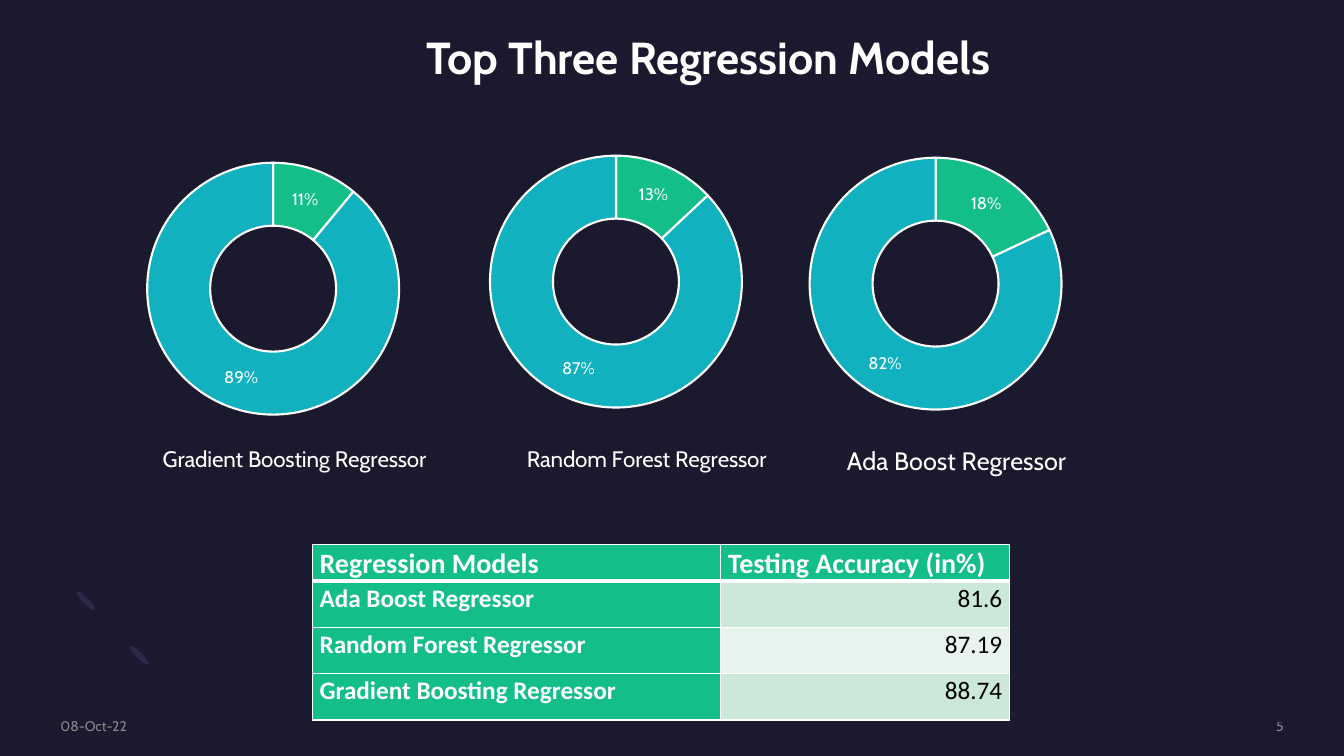
from lxml import etree
from pptx import Presentation
from pptx.chart.data import CategoryChartData
from pptx.dml.color import RGBColor
from pptx.enum.chart import XL_CHART_TYPE
from pptx.enum.shapes import MSO_SHAPE
from pptx.enum.text import MSO_ANCHOR, PP_ALIGN
from pptx.oxml import parse_xml
from pptx.oxml.ns import nsdecls, qn
from pptx.util import Pt

DOUGHNUT = XL_CHART_TYPE.DOUGHNUT
ELLIPSE = MSO_SHAPE.OVAL
LEFT, CENTER, RIGHT = PP_ALIGN.LEFT, PP_ALIGN.CENTER, PP_ALIGN.RIGHT
TOP, MIDDLE = MSO_ANCHOR.TOP, MSO_ANCHOR.MIDDLE

PX = 9144
NAVY, WHITE, BLACK, GREY = "1B192E", "FFFFFF", "000000", "A6A6A6"
GREEN, TEAL, INDIGO, VIOLET = "13BE89", "12B1BF", "2C284A", "7771B2"
BANDS = ["CCE8DA", "E7F4ED"]
BODY, TABLE = "Cabin", "Calibri"

CHARTS = [
    ("Gradient Boosting Regressor", [11, 89], (36, 147, 528, 353), 16, (0.23, 0.82)),
    ("Random Forest Regressor", [13, 87], (376, 140, 528, 353), 16, (0.27, 0.84)),
    ("Ada Boost Regressor", [18, 82], (693, 142, 528, 353), 18, (0.27, 0.83)),
]
ROWS = [
    ("Regression Models", "Testing Accuracy (in%)"),
    ("Ada Boost Regressor", "81.6"),
    ("Random Forest Regressor", "87.19"),
    ("Gradient Boosting Regressor", "88.74"),
]


def px(*lengths):
    """Turn px lengths into EMU."""
    return [n * PX for n in lengths]


def paint(fill, color, alpha=100):
    """Give a fill a solid hex colour, with alpha in percent."""
    fill.solid()
    fill.fore_color.rgb = RGBColor.from_string(color)
    if alpha < 100:
        clr = fill._xPr.find(qn("a:solidFill"))[0]
        etree.SubElement(clr, qn("a:alpha")).set("val", str(alpha * 1000))


def style_font(font, name, size, color, bold=False, alpha=100):
    """Set name, size, colour and weight of a font."""
    font.name, font.size, font.bold = name, Pt(size), bold
    paint(font.fill, color, alpha)


def write(tf, text, name, size, color, align=LEFT, bold=False, alpha=100):
    """Put one styled paragraph in a text frame and return it."""
    tf.text = text
    p = tf.paragraphs[0]
    p.alignment = align
    style_font(p.runs[0].font, name, size, color, bold, alpha)
    return p


def add_title(s, box, text):
    """Place and format the slide title."""
    sp = s.shapes.title
    sp.left, sp.top, sp.width, sp.height = px(*box)
    sp.text_frame.word_wrap = True
    sp.text_frame.vertical_anchor = TOP
    write(sp.text_frame, text, BODY, 32, WHITE, CENTER, True)


def curve(p0, p1, p2, p3, steps=12):
    """Return whole-px points along a cubic curve, after its start."""
    points = []
    for i in range(1, steps + 1):
        t = i / steps
        u = 1 - t
        points.append(tuple(
            round(u**3 * a + 3 * u * u * t * b + 3 * u * t * t * c + t**3 * d)
            for a, b, c, d in zip(p0, p1, p2, p3)))
    return points


def add_ornament(s, box):
    """Draw the faint crescent and its two slanted ellipses."""
    x, y, w, h = box
    start = (20, 77)
    outline = curve(start, (0, 57), (2, 23), (25, 0)) + [(43, 18)]
    outline += curve((43, 18), (31, 29), (30, 47), (40, 56))
    outline += curve((40, 56), (50, 66), (67, 65), (79, 54)) + [(96, 72)]
    outline += curve((96, 72), (74, 94), (39, 97), start)
    fb = s.shapes.build_freeform(x + start[0], y + start[1], scale=PX)
    fb.add_line_segments([(x + a, y + b) for a, b in outline], close=True)
    crescent = fb.convert_to_shape()
    paint(crescent.fill, VIOLET, 2)
    parts = [crescent]
    for dx, dy in ((26, 1), (79, 55)):
        sp = s.shapes.add_shape(ELLIPSE, *px(x + dx, y + dy, 6, 26))
        sp.rotation = 135
        paint(sp.fill, INDIGO)
        parts.append(sp)
    for sp in parts:
        sp.line.fill.background()
        sp.shadow.inherit = False


def set_layout(parent, index, target="", **places):
    """Give a chart part a manual layout in fractions of the chart."""
    for old in parent.findall(qn("c:layout")):
        parent.remove(old)
    modes = '<c:xMode val="edge"/><c:yMode val="edge"/>'
    sizes = "".join(f'<c:{k} val="{v}"/>' for k, v in places.items())
    parent.insert(index, parse_xml(
        f'<c:layout {nsdecls("c")}><c:manualLayout>{target}{modes}{sizes}'
        "</c:manualLayout></c:layout>"))


def add_doughnut(s, box, name, values, size, title_at):
    """Add a doughnut with percent labels and its name below."""
    data = CategoryChartData()
    data.categories = ["1", "2"]
    data.add_series("Series 1", values)
    chart = s.shapes.add_chart(DOUGHNUT, *px(*box), data).chart
    style_font(chart.font, BODY, 10, WHITE)
    chart.has_legend = False
    chart.has_title = True
    write(chart.chart_title.text_frame, name, BODY, size, WHITE, CENTER)
    plot = chart.plots[0]
    plot.vary_by_categories = True
    plot.has_data_labels = True
    labels = plot.data_labels
    labels.show_percentage = True
    labels.show_value = False
    labels.number_format, labels.number_format_is_linked = "0%", False
    style_font(labels.font, BODY, 12, WHITE)
    for i, color in enumerate((GREEN, TEAL)):
        fmt = plot.series[0].points[i].format
        paint(fmt.fill, color)
        paint(fmt.line.fill, WHITE)
        fmt.line.width = Pt(1.5)
    root = chart._chartSpace.find(qn("c:chart"))
    set_layout(root.find(qn("c:title")), 1, x=title_at[0], y=title_at[1])
    set_layout(root.find(qn("c:plotArea")), 0, '<c:layoutTarget val="inner"/>',
               x=0.138, y=0.041, w=0.614, h=0.708)


def add_borders(cell, bottom):
    """Draw white borders round a cell, the lower one of given points."""
    tc_pr = cell._tc.get_or_add_tcPr()
    for side, width in (("L", 1), ("R", 1), ("T", 1), ("B", bottom)):
        ln = etree.SubElement(tc_pr, qn(f"a:ln{side}"), w=str(Pt(width)))
        fill = etree.SubElement(ln, qn("a:solidFill"))
        etree.SubElement(fill, qn("a:srgbClr"), val=WHITE)


def add_accuracy_table(s, box):
    """Add the table of testing accuracies."""
    table = s.shapes.add_table(len(ROWS), 2, *px(*box)).table
    for col, width in zip(table.columns, (405, box[2] - 405)):
        col.width = width * PX
    for i, row in enumerate(ROWS):
        header = i == 0
        table.rows[i].height = (32 if header else 46) * PX
        for j, text in enumerate(row):
            cell = table.cell(i, j)
            value = j == 1 and not header
            cell.margin_left = cell.margin_right = 7 * PX
            cell.margin_top = cell.margin_bottom = 0
            add_borders(cell, 3 if header else 1)
            paint(cell.fill, BANDS[(i - 1) % 2] if value else GREEN)
            p = write(cell.text_frame, text, TABLE, 20 if header else 18,
                      BLACK if value else WHITE, RIGHT if value else LEFT, not value)
            p.line_spacing = 1.07


def add_footer(s, box, text, align):
    """Add a small grey footer text."""
    tf = s.shapes.add_textbox(*px(*box)).text_frame
    tf.word_wrap = True
    tf.vertical_anchor = MIDDLE
    tf.margin_left = tf.margin_right = tf.margin_top = tf.margin_bottom = 0
    write(tf, text, BODY, 10, GREY, align, alpha=80)


def main():
    """Build the slide and save it."""
    prs = Presentation()
    prs.slide_width, prs.slide_height = px(1333, 750)
    s = prs.slides.add_slide(prs.slide_layouts[5])
    paint(s.background.fill, NAVY)
    add_ornament(s, (56, 582, 96, 94))
    for name, values, box, size, title_at in CHARTS:
        add_doughnut(s, box, name, values, size, title_at)
    add_title(s, (390, 24, 625, 64), "Top Three Regression Models")
    add_accuracy_table(s, (310, 540, 691, 170))
    add_footer(s, (60, 712, 288, 17), "08-Oct-22", LEFT)
    add_footer(s, (1088, 712, 185, 17), "5", RIGHT)
    prs.save("out.pptx")


if __name__ == "__main__":
    main()
